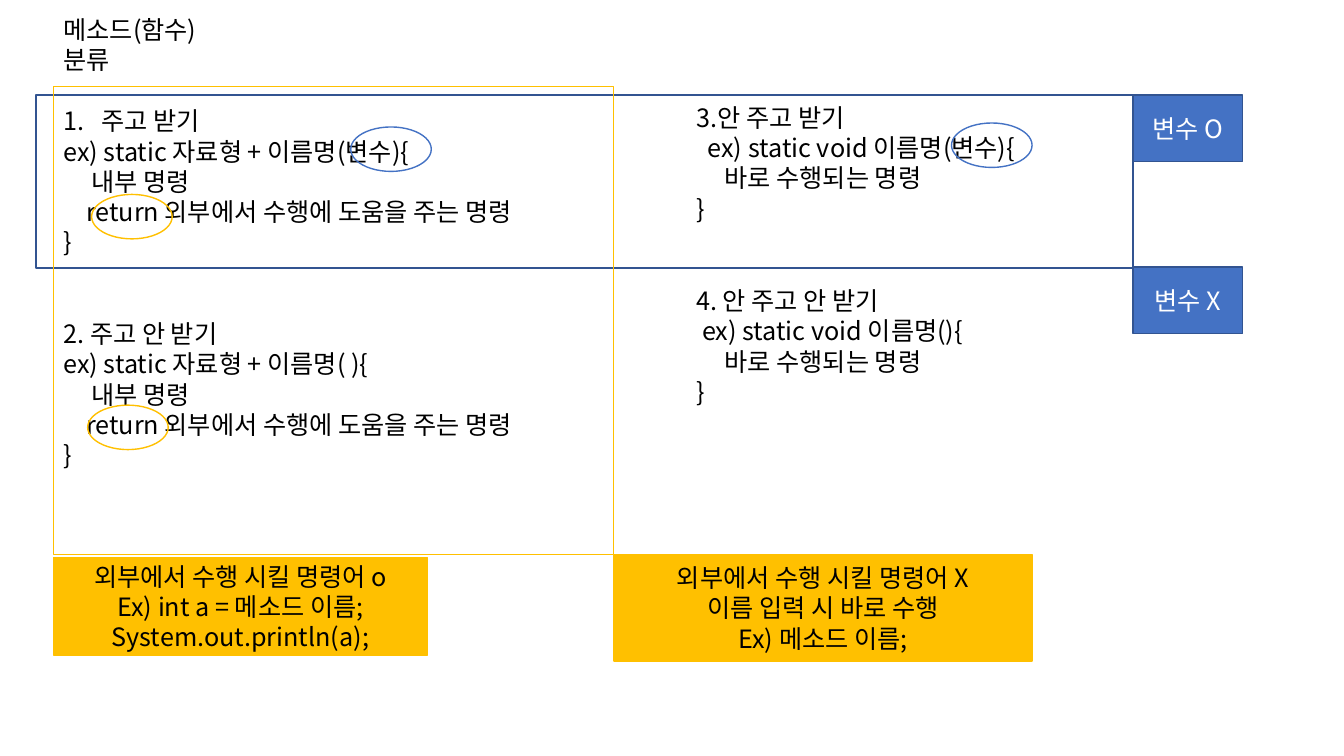
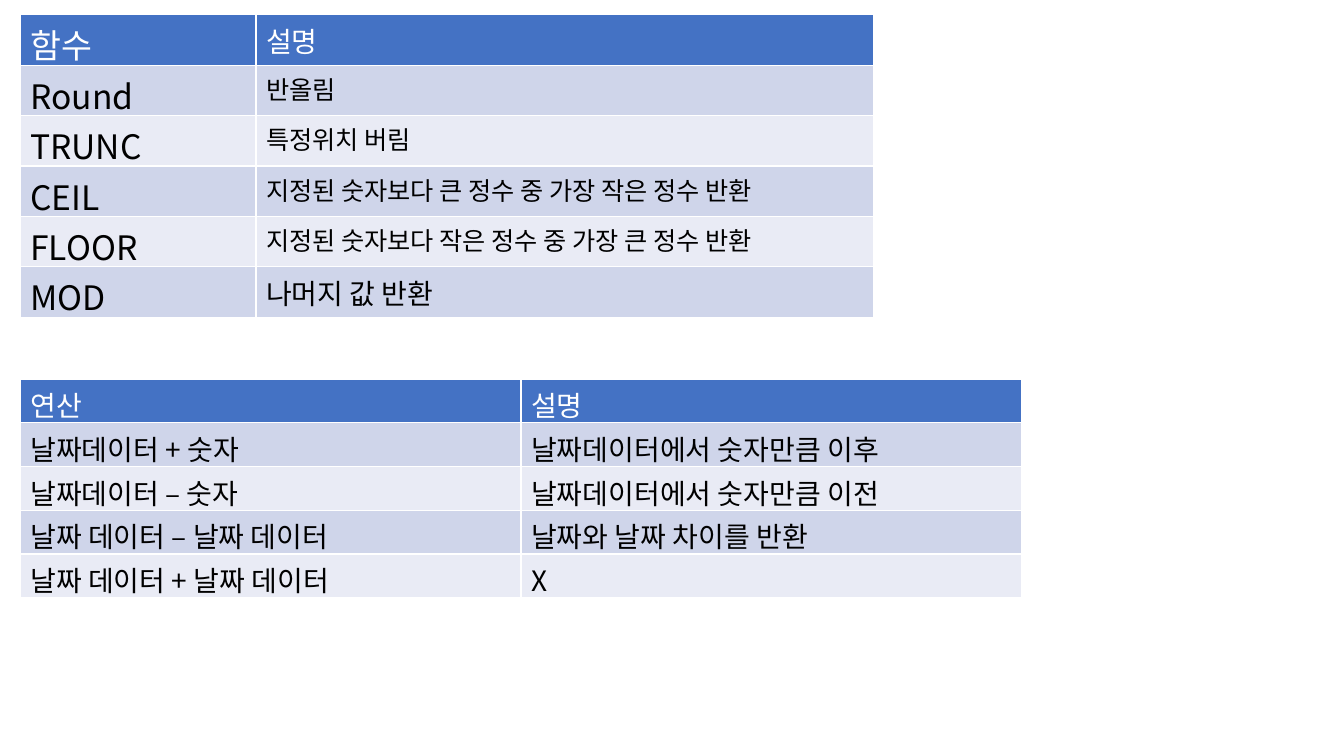
from dataclasses import dataclass
from typing import Optional

from lxml import etree
from pptx import Presentation
from pptx import util as u
from pptx.dml.color import RGBColor
from pptx.enum import shapes, text
from pptx.oxml.ns import qn

RECT = shapes.MSO_SHAPE.RECTANGLE
OVAL = shapes.MSO_SHAPE.OVAL


@dataclass(frozen=True)
class Theme:
    font: str = "Noto Sans CJK KR"
    black: str = "000000"
    white: str = "FFFFFF"
    blue: str = "4472C4"
    navy: str = "325491"
    gold: str = "FFC000"
    bands: tuple[str, str] = ("CFD5EA", "E9EBF5")
    body: int = 18
    large: int = 20
    huge: int = 24
    line: float = 0.77
    inset: float = 0.25
    indent: float = 0.95


T = Theme()


@dataclass(frozen=True)
class Block:
    left: float
    top: float
    lines: tuple[str, ...]
    number: bool = False


@dataclass(frozen=True)
class Box:
    left: float
    top: float
    width: float
    height: float
    line: str
    fill: Optional[str] = None
    kind: shapes.MSO_SHAPE = RECT
    lines: tuple[str, ...] = ()
    color: str = T.black


@dataclass(frozen=True)
class Grid:
    top: float
    cols: tuple[float, ...]
    row: float
    cells: tuple[tuple[str, ...], ...]
    sizes: tuple[tuple[int, ...], ...]


def ring(left: float, top: float, color: str) -> Box:
    return Box(left, top, 2.03, 1.12, color, kind=OVAL)


def tag(top: float, label: str) -> Box:
    return Box(28.55, top, 2.77, 1.68, T.navy, T.blue,
               lines=(label,), color=T.white)


TITLE = Block(1.35, 0.23, ("메소드(함수)", "분류"))
GIVE = (
    "     내부 명령",
    "    return 외부에서 수행에 도움을 주는 명령",
    "}",
)
RUN = ("     바로 수행되는 명령", "}")
BLOCKS = (
    TITLE,
    Block(1.35, 2.54, ("주고 받기", "ex) static 자료형 + 이름명(변수){") + GIVE, True),
    Block(1.35, 7.9, ("2. 주고 안 받기", "ex) static 자료형 + 이름명( ){") + GIVE),
    Block(17.3, 2.45, ("3.안 주고 받기", "  ex) static void 이름명(변수){") + RUN),
    Block(17.3, 7.07, ("4. 안 주고 안 받기", " ex) static void 이름명(){") + RUN),
)
BOXES = (
    Box(0.91, 2.39, 27.64, 4.37, T.navy),
    ring(8.84, 3.2, T.blue),
    ring(23.98, 3.1, T.blue),
    tag(2.39, "변수 O"),
    Box(1.35, 2.18, 14.12, 11.79, T.gold),
    ring(2.21, 10.21, T.gold),
    Box(1.35, 14.05, 9.42, 2.46, T.gold, T.gold, lines=(
        "외부에서 수행 시킬 명령어 o",
        "Ex) int a = 메소드 이름;",
        "System.out.println(a);",
    )),
    ring(2.31, 4.9, T.gold),
    tag(6.73, "변수 X"),
    Box(15.47, 13.97, 10.54, 2.69, T.gold, T.gold, lines=(
        "외부에서 수행 시킬 명령어 X",
        "이름 입력 시 바로 수행",
        "Ex) 메소드 이름;",
    )),
)
GRIDS = (
    Grid(0.37, (5.94, 15.57), 1.27, (
        ("함수", "설명"),
        ("Round", "반올림"),
        ("TRUNC", "특정위치 버림"),
        ("CEIL", "지정된 숫자보다 큰 정수 중 가장 작은 정수 반환"),
        ("FLOOR", "지정된 숫자보다 작은 정수 중 가장 큰 정수 반환"),
        ("MOD", "나머지 값 반환"),
    ), ((T.huge, T.large), *((T.huge, T.body),) * 4, (T.huge, T.large))),
    Grid(9.55, (12.62, 12.62), 1.1, (
        ("연산", "설명"),
        ("날짜데이터 + 숫자", "날짜데이터에서 숫자만큼 이후"),
        ("날짜데이터 – 숫자", "날짜데이터에서 숫자만큼 이전"),
        ("날짜 데이터 – 날짜 데이터", "날짜와 날짜 차이를 반환"),
        ("날짜 데이터 + 날짜 데이터", "X"),
    ), ((T.large, T.large),) * 5),
)


def rgb(code: str) -> RGBColor:
    return RGBColor.from_string(code)


def write(frame, lines: tuple[str, ...], *, size: int = T.body,
          color: str = T.black, align=text.PP_ALIGN.LEFT,
          number: bool = False) -> None:
    for i, line in enumerate(lines):
        para = frame.paragraphs[0] if i == 0 else frame.add_paragraph()
        para.alignment = align
        if number and i == 0:
            props = para._p.get_or_add_pPr()
            props.set("marL", str(u.Cm(T.indent)))
            props.set("indent", str(-u.Cm(T.indent)))
            etree.SubElement(props, qn("a:buAutoNum"), type="arabicPeriod")
        run = para.add_run()
        run.text = line
        font = run.font
        font.name, font.size, font.bold = T.font, u.Pt(size), False
        font.color.rgb = rgb(color)
        east = etree.SubElement(run._r.get_or_add_rPr(), qn("a:ea"))
        east.set("typeface", T.font)


def add_block(slide, block: Block) -> None:
    tall = len(block.lines) * T.line + T.inset
    shape = slide.shapes.add_textbox(
        u.Cm(block.left), u.Cm(block.top), u.Cm(15.85), u.Cm(tall))
    shape.text_frame.word_wrap = True
    write(shape.text_frame, block.lines, number=block.number)


def add_box(slide, box: Box) -> None:
    shape = slide.shapes.add_shape(
        box.kind, u.Cm(box.left), u.Cm(box.top),
        u.Cm(box.width), u.Cm(box.height))
    shape.shadow.inherit = False
    shape.line.color.rgb = rgb(box.line)
    shape.line.width = u.Pt(1)
    if box.fill:
        shape.fill.solid()
        shape.fill.fore_color.rgb = rgb(box.fill)
    else:
        shape.fill.background()
    if box.lines:
        frame = shape.text_frame
        frame.word_wrap = True
        frame.vertical_anchor = text.MSO_ANCHOR.MIDDLE
        write(frame, box.lines, color=box.color, align=text.PP_ALIGN.CENTER)


def add_grid(slide, grid: Grid) -> None:
    rows = len(grid.cells)
    table = slide.shapes.add_table(
        rows, len(grid.cols), u.Cm(0.51), u.Cm(grid.top),
        u.Cm(sum(grid.cols)), u.Cm(rows * grid.row)).table
    for col, width in zip(table.columns, grid.cols):
        col.width = u.Cm(width)
    for r, (words, sizes) in enumerate(zip(grid.cells, grid.sizes)):
        table.rows[r].height = u.Cm(grid.row)
        fill = T.bands[(r - 1) % 2] if r else T.blue
        for c, (word, size) in enumerate(zip(words, sizes)):
            cell = table.cell(r, c)
            cell.fill.solid()
            cell.fill.fore_color.rgb = rgb(fill)
            write(cell.text_frame, (word,), size=size,
                  color=T.black if r else T.white)


def main() -> None:
    deck = Presentation()
    deck.slide_width, deck.slide_height = u.Cm(33.87), u.Cm(19.05)
    blank = deck.slide_layouts[6]
    kinds = deck.slides.add_slide(blank)
    for block in BLOCKS:
        add_block(kinds, block)
    for box in BOXES:
        add_box(kinds, box)
    funcs = deck.slides.add_slide(blank)
    for grid in GRIDS:
        add_grid(funcs, grid)
    deck.save("out.pptx")


if __name__ == "__main__":
    main()
